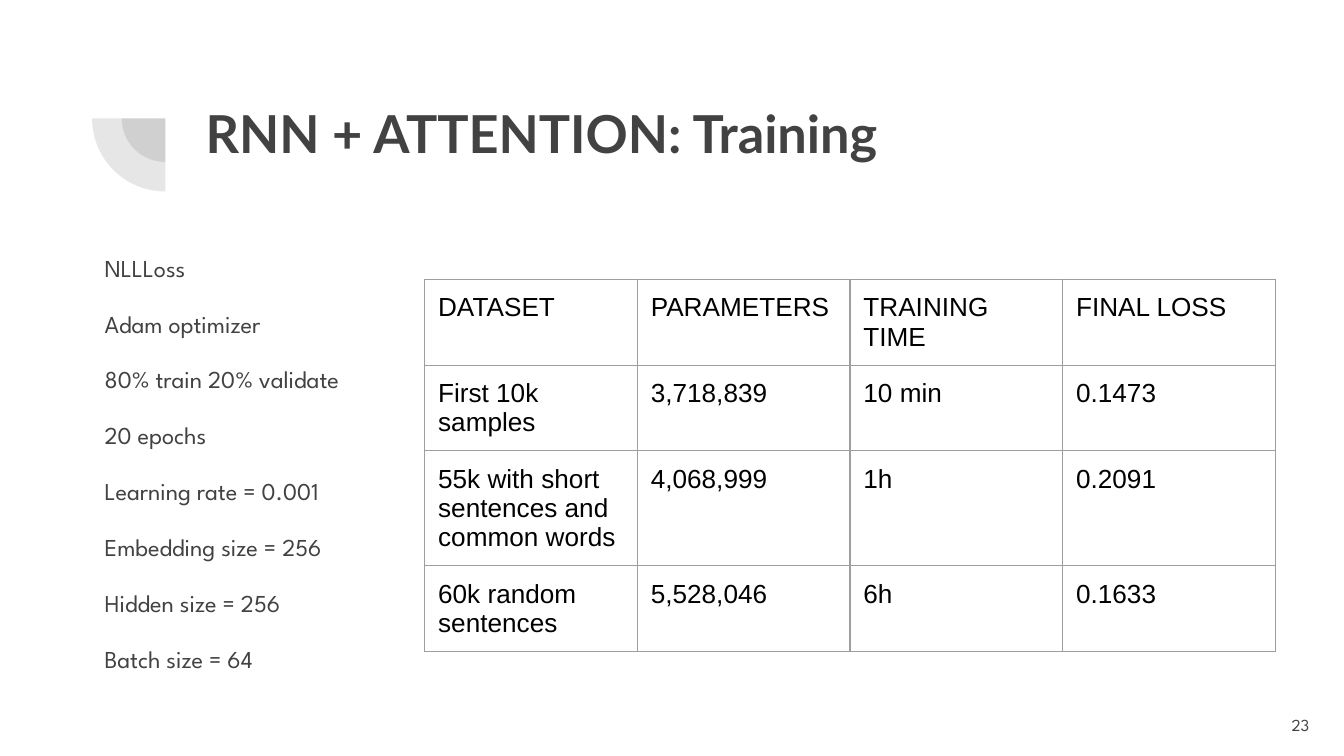
from dataclasses import dataclass

from lxml.etree import SubElement
from pptx import Presentation
from pptx.dml.color import RGBColor
from pptx.enum.shapes import MSO_SHAPE as Preset
from pptx.enum.text import MSO_ANCHOR as Anchor, MSO_AUTO_SIZE as AutoSize, PP_ALIGN as Align
from pptx.oxml.ns import qn
from pptx.slide import Slide
from pptx.table import _Cell as Cell
from pptx.text.text import TextFrame
from pptx.util import Inches, Pt


@dataclass(frozen=True)
class TextStyle:
    font: str
    size: float
    color: str
    bold: bool = False


@dataclass(frozen=True)
class Theme:
    ink: str = "424242"
    border: str = "9E9E9E"
    border_width: float = 0.75
    inset: float = 0.1
    title: TextStyle = TextStyle("Lato", 28, "424242", True)
    body: TextStyle = TextStyle("League Spartan", 13, "424242")
    number: TextStyle = TextStyle("League Spartan", 9, "424242")
    table: TextStyle = TextStyle("Arial", 14, "000000")


@dataclass(frozen=True)
class Box:
    left: float
    top: float
    width: float
    height: float

    def lengths(self) -> tuple[int, int, int, int]:
        return Inches(self.left), Inches(self.top), Inches(self.width), Inches(self.height)


THEME = Theme()
SLIDE_WIDTH = Inches(10)
SLIDE_HEIGHT = SLIDE_WIDTH * 9 // 16
PIE_CENTER = (1.23, 0.88)
PIE_SIZES = (0.65, 1.09)
PIE_OPACITY = 13
TITLE_BOX = Box(1.43, 0.65, 7.69, 1.09)
SETTINGS_BOX = Box(0.68, 1.75, 2.49, 3.56)
TABLE_BOX = Box(3.16, 2.08, 6.33, 1.68)
NUMBER_BOX = Box(9.24, 5.18, 0.6, 0.43)
SETTINGS = (
    "NLLLoss",
    "Adam optimizer",
    "80% train 20% validate",
    "20 epochs",
    "Learning rate = 0.001",
    "Embedding size = 256",
    "Hidden size = 256",
    "Batch size = 64",
)
RESULTS = (
    ("DATASET", "PARAMETERS", "TRAINING TIME", "FINAL LOSS"),
    ("First 10k samples", "3,718,839", "10 min", "0.1473"),
    ("55k with short sentences and common words", "4,068,999", "1h", "0.2091"),
    ("60k random sentences", "5,528,046", "6h", "0.1633"),
)


def format_text(text_frame: TextFrame, style: TextStyle, align: Align = Align.LEFT) -> None:
    for paragraph in text_frame.paragraphs:
        paragraph.alignment = align
        for run in paragraph.runs:
            run.font.name = style.font
            run.font.size = Pt(style.size)
            run.font.bold = style.bold
            run.font.color.rgb = RGBColor.from_string(style.color)


def set_insets(target: TextFrame | Cell) -> None:
    target.margin_left = target.margin_right = Inches(THEME.inset)
    target.margin_top = target.margin_bottom = Inches(THEME.inset)


def prepare_frame(text_frame: TextFrame, anchor: Anchor = Anchor.TOP) -> None:
    text_frame.word_wrap = True
    text_frame.auto_size = AutoSize.NONE
    text_frame.vertical_anchor = anchor
    set_insets(text_frame)


def draw_pie(slide: Slide, size: float) -> None:
    center_x, center_y = PIE_CENTER
    box = Box(center_x - size / 2, center_y - size / 2, size, size)
    shape = slide.shapes.add_shape(Preset.PIE, *box.lengths())
    shape.adjustments[0] = 108
    shape.adjustments[1] = 162
    shape.rotation = 270
    shape.shadow.inherit = False
    shape.line.fill.background()
    shape.fill.solid()
    shape.fill.fore_color.rgb = RGBColor.from_string(THEME.ink)
    color = shape.fill._xPr.find(qn("a:solidFill")).find(qn("a:srgbClr"))
    SubElement(color, qn("a:alpha"), val=str(PIE_OPACITY * 1000))


def draw_title(slide: Slide, text: str) -> None:
    title = slide.shapes.title
    title.left, title.top, title.width, title.height = TITLE_BOX.lengths()
    prepare_frame(title.text_frame)
    title.text_frame.text = text
    format_text(title.text_frame, THEME.title)


def draw_settings(slide: Slide) -> None:
    text_frame = slide.shapes.add_textbox(*SETTINGS_BOX.lengths()).text_frame
    prepare_frame(text_frame)
    text_frame.text = "\n".join(SETTINGS)
    format_text(text_frame, THEME.body)
    for paragraph in text_frame.paragraphs:
        paragraph.line_spacing = 1.15
    for paragraph in text_frame.paragraphs[1:]:
        paragraph.space_before = Pt(12)
    text_frame.paragraphs[-1].space_after = Pt(12)


def set_borders(cell: Cell) -> None:
    properties = cell._tc.get_or_add_tcPr()
    for side in ("L", "R", "T", "B"):
        line = SubElement(properties, qn(f"a:ln{side}"), w=str(Pt(THEME.border_width)))
        SubElement(SubElement(line, qn("a:solidFill")), qn("a:srgbClr"), val=THEME.border)


def draw_results(slide: Slide) -> None:
    frame = slide.shapes.add_table(len(RESULTS), len(RESULTS[0]), *TABLE_BOX.lengths())
    table = frame.table
    table.first_row = False
    table.horz_banding = False
    for row, values in enumerate(RESULTS):
        for column, value in enumerate(values):
            cell = table.cell(row, column)
            cell.text = value
            set_insets(cell)
            set_borders(cell)
            cell.fill.background()
            format_text(cell.text_frame, THEME.table)


def draw_number(slide: Slide, number: int) -> None:
    text_frame = slide.shapes.add_textbox(*NUMBER_BOX.lengths()).text_frame
    prepare_frame(text_frame, Anchor.MIDDLE)
    text_frame.text = str(number)
    format_text(text_frame, THEME.number, Align.RIGHT)


def main() -> None:
    presentation = Presentation()
    presentation.slide_width = SLIDE_WIDTH
    presentation.slide_height = SLIDE_HEIGHT
    slide = presentation.slides.add_slide(presentation.slide_layouts[5])
    for size in PIE_SIZES:
        draw_pie(slide, size)
    draw_title(slide, "RNN + ATTENTION: Training")
    draw_settings(slide)
    draw_results(slide)
    draw_number(slide, 23)
    presentation.save("out.pptx")


if __name__ == "__main__":
    main()
